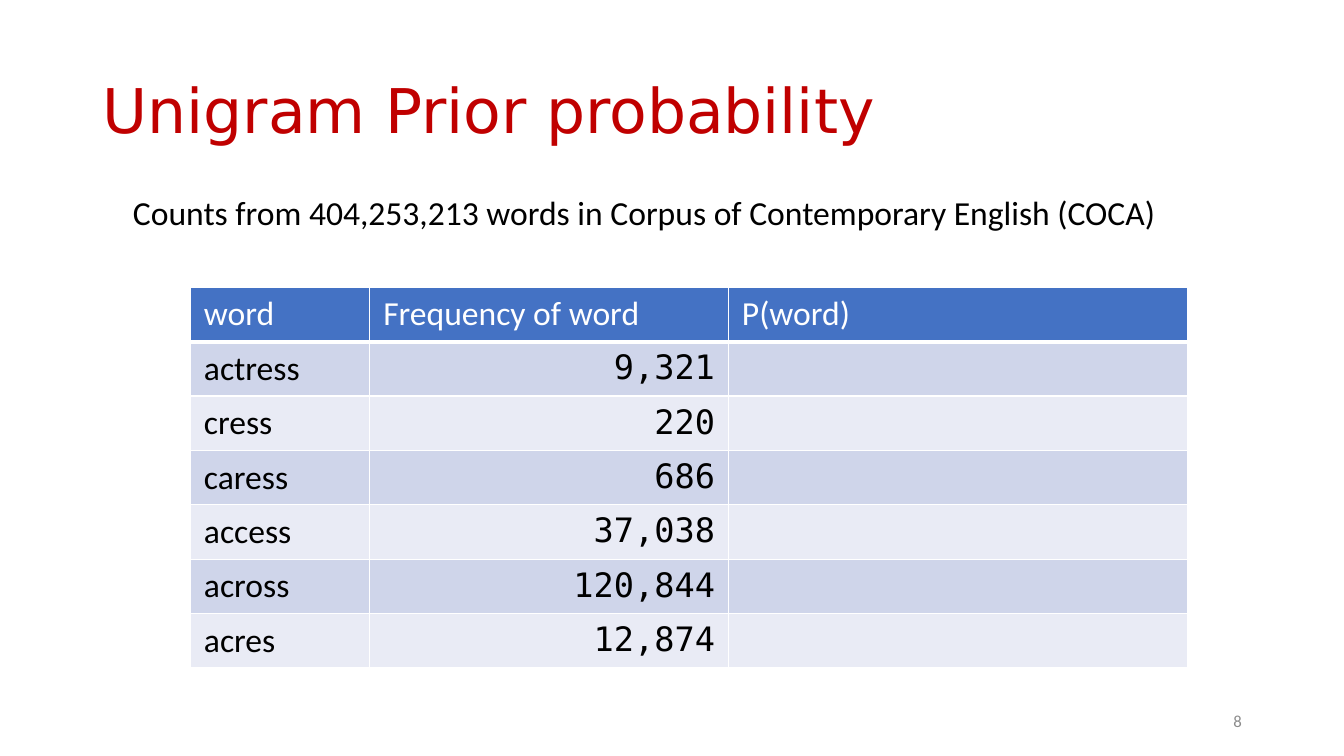
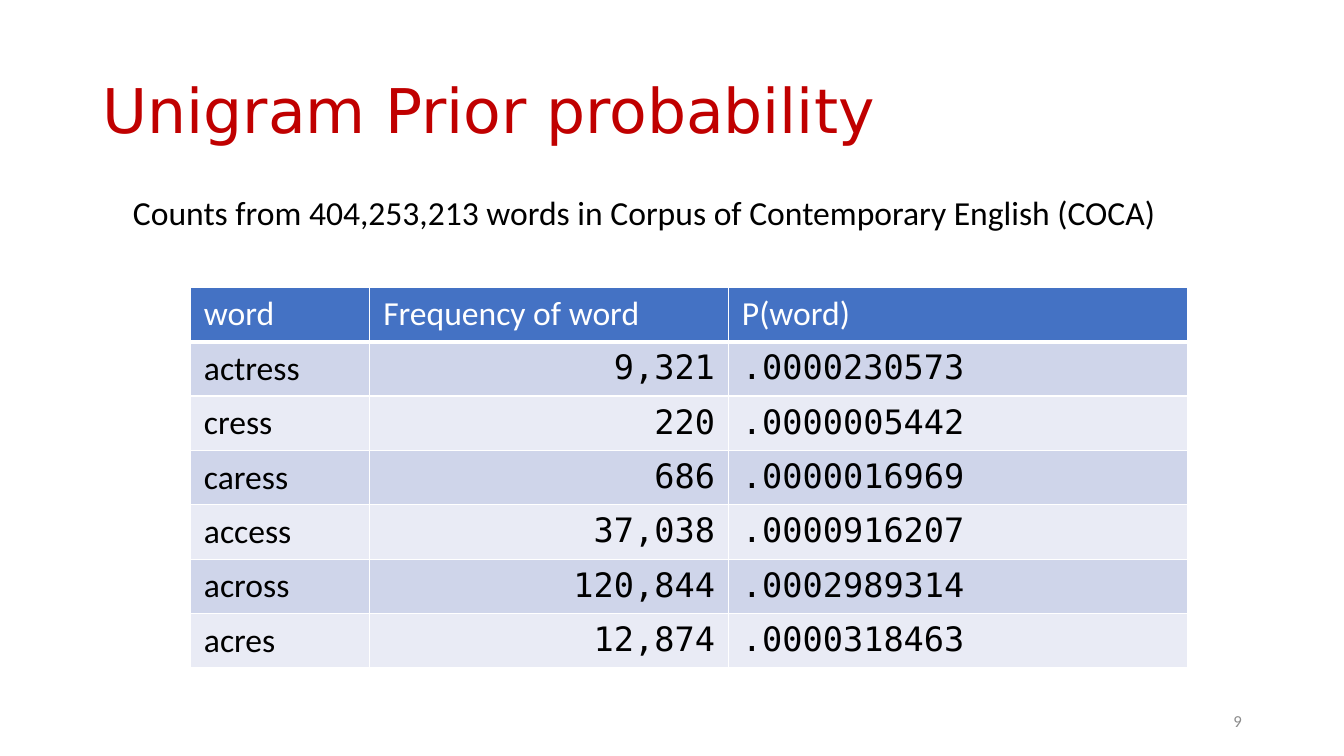
from dataclasses import dataclass

from lxml.etree import SubElement
from pptx import Presentation
from pptx.dml.color import RGBColor
from pptx.enum.text import MSO_ANCHOR, PP_ALIGN
from pptx.oxml.ns import qn
from pptx.util import Cm, Pt


# Theme
@dataclass(frozen=True)
class Theme:
    red: str = "C00000"
    black: str = "000000"
    white: str = "FFFFFF"
    gray: str = "8C8C8C"
    blue: str = "4472C4"
    bands: tuple = ("CFD5EA", "E9EBF5")
    head: str = "DejaVu Sans"
    body: str = "Calibri"
    mono: str = "DejaVu Sans Mono"
    big: int = 44
    mid: int = 24
    small: int = 12


THEME = Theme()

# Content
TITLE = "Unigram Prior probability"
NOTE = "Counts from 404,253,213 words in Corpus of Contemporary English (COCA)"
HEADS = ("word", "Frequency of word", "P(word)")
WORDS = (
    ("actress", "9,321", ".0000230573"),
    ("cress", "220", ".0000005442"),
    ("caress", "686", ".0000016969"),
    ("access", "37,038", ".0000916207"),
    ("across", "120,844", ".0002989314"),
    ("acres", "12,874", ".0000318463"),
)
COLS = (4.52, 9.04, 11.58)
ROW = 1.37


def style(frame, text, font, size, color, align=PP_ALIGN.LEFT):
    frame.text = text
    para = frame.paragraphs[0]
    para.alignment = align
    for run in para.runs:
        run.font.name = font
        run.font.size = Pt(size)
        run.font.bold = False
        run.font.color.rgb = RGBColor.from_string(color)
    return para


def add_text(slide, box, text, *look, anchor=MSO_ANCHOR.MIDDLE):
    frame = slide.shapes.add_textbox(*map(Cm, box)).text_frame
    frame.word_wrap = True
    frame.vertical_anchor = anchor
    return style(frame, text, *look)


# Table
def add_edges(cell, base):
    props = cell._tc.get_or_add_tcPr()
    for side, width in (("L", 1), ("R", 1), ("T", 1), ("B", base)):
        line = SubElement(props, qn(f"a:ln{side}"), w=str(Pt(width)))
        fill = SubElement(line, qn("a:solidFill"))
        SubElement(fill, qn("a:srgbClr"), val=THEME.white)


def fill_cell(cell, text, fill, base, *look):
    cell.margin_left = cell.margin_right = Cm(0.34)
    cell.margin_top = cell.margin_bottom = Cm(0.17)
    add_edges(cell, base)
    cell.fill.solid()
    cell.fill.fore_color.rgb = RGBColor.from_string(fill)
    style(cell.text_frame, text, *look)


def add_grid(slide, solved):
    count = len(WORDS) + 1
    table = slide.shapes.add_table(
        count, len(COLS), Cm(4.8), Cm(7.24), Cm(sum(COLS)), Cm(ROW * count)
    ).table
    table.first_row = table.horz_banding = False
    for col, width in zip(table.columns, COLS):
        col.width = Cm(width)
    for row in table.rows:
        row.height = Cm(ROW)
    for x, text in enumerate(HEADS):
        fill_cell(table.cell(0, x), text, THEME.blue, 3,
                  THEME.body, THEME.mid, THEME.white)
    looks = (
        (THEME.body, PP_ALIGN.LEFT),
        (THEME.mono, PP_ALIGN.RIGHT),
        (THEME.mono, PP_ALIGN.LEFT),
    )
    for y, (word, freq, prob) in enumerate(WORDS):
        texts = (word, freq, prob if solved else "")
        for x, (text, (font, align)) in enumerate(zip(texts, looks)):
            fill_cell(table.cell(y + 1, x), text, THEME.bands[y % 2], 1,
                      font, THEME.mid, THEME.black, align)


# Slide
def add_slide(deck, number, solved):
    slide = deck.slides.add_slide(deck.slide_layouts[6])
    title = add_text(slide, (2.34, 1.02, 29.21, 3.68), TITLE,
                     THEME.head, THEME.big, THEME.red)
    title.line_spacing = 0.9
    add_grid(slide, solved)
    add_text(slide, (23.93, 17.65, 7.62, 1.02), str(number),
             THEME.body, THEME.small, THEME.gray, PP_ALIGN.RIGHT)
    add_text(slide, (3.1, 4.72, 26.5, 2.31), NOTE,
             THEME.body, THEME.mid, THEME.black, anchor=MSO_ANCHOR.TOP)


def main():
    deck = Presentation()
    deck.slide_width, deck.slide_height = Cm(33.87), Cm(19.05)
    for number, solved in ((8, False), (9, True)):
        add_slide(deck, number, solved)
    deck.save("out.pptx")


main()
